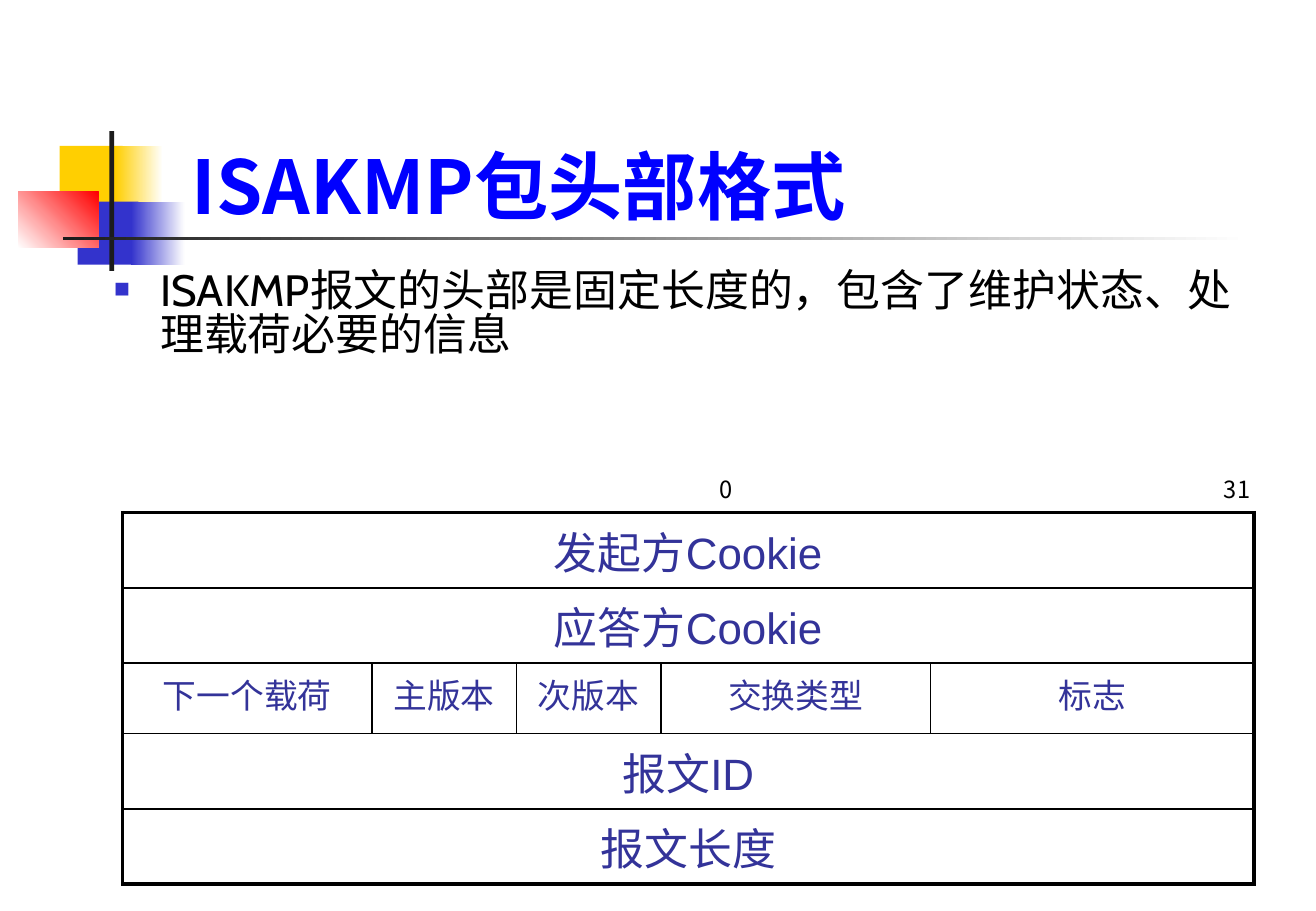
"""Builds the slide on the ISAKMP packet header format."""
from lxml import etree
from pptx import Presentation
from pptx import util as u
from pptx.dml.color import RGBColor
from pptx.enum import shapes, text
from pptx.oxml.ns import qn

PX = 9144
CJK = "Noto Sans CJK SC"
OUTER, INNER = 2.25, 1
ORNAMENTS = [
    ((49, 120, 52, 52), ["FFCF01"], 0),
    ((95, 120, 39, 52), ["FFCF01", "FFFFFF"], 0),
    ((64, 166, 50, 52), ["3333CC"], 0),
    ((108, 166, 44, 52), ["3333CC", "FFFFFF"], 0),
    ((15, 158, 66, 46), ["FFFFFF", "FF0000"], 45),
    ((90, 108, 4, 115), ["1C1C1C"], 0),
    ((52, 195, 975, 3), ["1C1C1C", "FFFFFF"], 0),
]
FIELD_WIDTHS = [205, 119, 119, 222, 266]
HEADER_ROWS = [
    (62, ["发起方Cookie"]),
    (62, ["应答方Cookie"]),
    (58, ["下一个载荷", "主版本", "次版本", "交换类型", "标志"]),
    (62, ["报文ID"]),
    (62, ["报文长度"]),
]


def px(*lengths):
    """Turn px lengths into EMU."""
    return [u.Emu(length * PX) for length in lengths]


def rgb(code):
    """Return the colour of a hex string."""
    return RGBColor.from_string(code)


def add_element(parent, tag, **attributes):
    """Append a drawing element and return it."""
    return etree.SubElement(parent, qn(tag), attributes)


def write(paragraph, wording, size, latin, color, bold=False, east_asian=CJK):
    """Fill a paragraph and format its run."""
    paragraph.text = wording
    for run in paragraph.runs:
        run.font.size = u.Pt(size)
        run.font.bold = bold
        run.font.name = latin
        run.font.color.rgb = rgb(color)
        add_element(run.font._element, "a:ea", typeface=east_asian)


def add_ornament(slide, place, colors, angle):
    """Draw one plain or fading rectangle of the title decoration."""
    block = slide.shapes.add_shape(shapes.MSO_SHAPE.RECTANGLE, *px(*place))
    block.shadow.inherit = False
    block.line.fill.background()
    if len(colors) == 1:
        block.fill.solid()
        block.fill.fore_color.rgb = rgb(colors[0])
        return
    block.fill.gradient()
    block.fill.gradient_angle = angle
    for stop, color in zip(block.fill.gradient_stops, colors):
        stop.color.rgb = rgb(color)


def set_title(slide, wording):
    """Place and format the title."""
    title = slide.shapes.title
    title.left, title.top, title.width, title.height = px(148, 52, 894, 142)
    frame = title.text_frame
    frame.auto_size = text.MSO_AUTO_SIZE.NONE
    frame.vertical_anchor = text.MSO_ANCHOR.BOTTOM
    heading = frame.paragraphs[0]
    heading.alignment = text.PP_ALIGN.LEFT
    write(heading, wording, 44, "Noto Sans CJK JP", "0000FF", True, "Noto Sans CJK JP")


def add_paragraph_box(slide, *place):
    """Add a wrapping text box and return its paragraph."""
    frame = slide.shapes.add_textbox(*px(*place)).text_frame
    frame.word_wrap = True
    return frame.paragraphs[0]


def add_bullet(slide, wording):
    """Add the bulleted statement."""
    statement = add_paragraph_box(slide, 84, 218, 954, 108)
    statement.line_spacing = 0.84
    properties = statement._p.get_or_add_pPr()
    indent = 38 * PX
    properties.set("marL", str(indent))
    properties.set("indent", str(-indent))
    add_element(add_element(properties, "a:buClr"), "a:srgbClr", val="3333CC")
    add_element(properties, "a:buSzPct", val="60000")
    add_element(properties, "a:buFont", typeface="Arial")
    add_element(properties, "a:buChar", char="■")
    write(statement, wording, 26, "Cabin", "000000")


def add_bit_scale(slide):
    """Mark the first and last bit above the table."""
    scale = add_paragraph_box(slide, 84, 386, 958, 36)
    stops = add_element(scale._p.get_or_add_pPr(), "a:tabLst")
    for position, side in ((504, "ctr"), (935, "r")):
        add_element(stops, "a:tab", pos=str(position * PX), algn=side)
    write(scale, "\t0\t31", 14, CJK, "000000")


def set_borders(cell, **widths):
    """Draw the black borders of a cell, given in points per side."""
    properties = cell._tc.get_or_add_tcPr()
    for position, (side, width) in enumerate(widths.items()):
        border = add_element(properties, f"a:ln{side}", w=str(u.Pt(width)))
        add_element(add_element(border, "a:solidFill"), "a:srgbClr", val="000000")
        properties.insert(position, border)


def add_header_table(slide):
    """Add the table of header fields."""
    last_row, last_column = len(HEADER_ROWS) - 1, len(FIELD_WIDTHS) - 1
    total = sum(height for height, _ in HEADER_ROWS)
    table = slide.shapes.add_table(
        last_row + 1, last_column + 1, *px(101, 422, sum(FIELD_WIDTHS), total)).table
    table.first_row = table.horz_banding = False
    for column, width in zip(table.columns, px(*FIELD_WIDTHS)):
        column.width = width
    for r, (height, fields) in enumerate(HEADER_ROWS):
        table.rows[r].height = px(height)[0]
        whole_row = len(fields) == 1
        if whole_row:
            table.cell(r, 0).merge(table.cell(r, last_column))
        for c in range(last_column + 1):
            cell = table.cell(r, c)
            cell.fill.background()
            set_borders(
                cell,
                L=OUTER if c == 0 else INNER,
                R=OUTER if whole_row or c == last_column else INNER,
                T=OUTER if r == 0 else INNER,
                B=OUTER if r == last_row else INNER)
        for c, field in enumerate(fields):
            label = table.cell(r, c).text_frame.paragraphs[0]
            label.alignment = text.PP_ALIGN.CENTER
            write(label, field, 26 if whole_row else 20, "Arial", "333399")


def main():
    """Build and save the slide."""
    deck = Presentation()
    deck.slide_width, deck.slide_height = px(1083, 750)
    slide = deck.slides.add_slide(deck.slide_layouts[5])
    for place, colors, angle in ORNAMENTS:
        add_ornament(slide, place, colors, angle)
    set_title(slide, "ISAKMP包头部格式")
    add_bullet(slide, "ISAKMP报文的头部是固定长度的，包含了维护状态、处理载荷必要的信息")
    add_header_table(slide)
    add_bit_scale(slide)
    deck.save("out.pptx")


if __name__ == "__main__":
    main()
